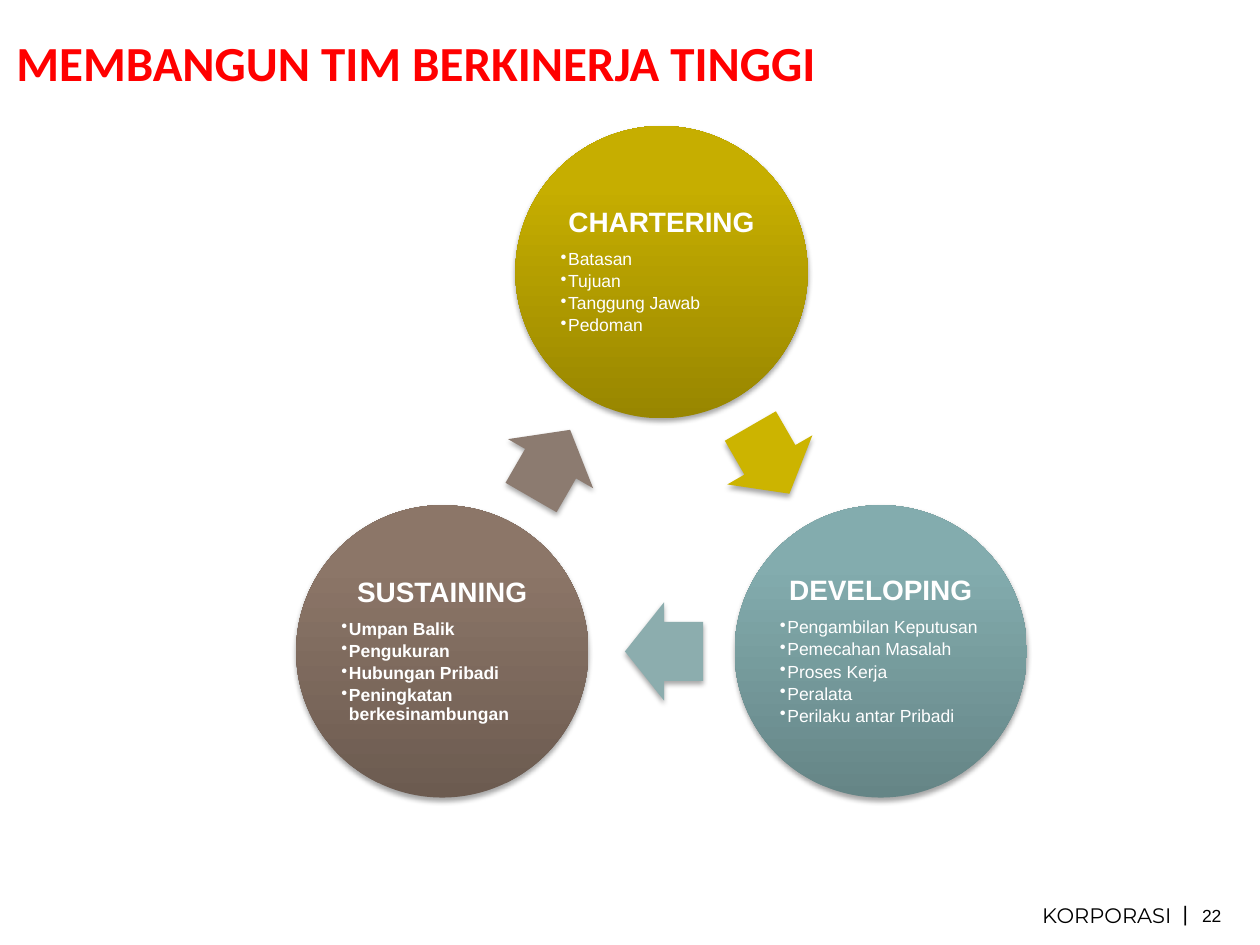
from typing import NamedTuple

from lxml.etree import SubElement
from pptx import Presentation
from pptx.dml.color import RGBColor
from pptx.enum.shapes import MSO_SHAPE as Shape
from pptx.enum.text import MSO_ANCHOR as Anchor, MSO_AUTO_SIZE as AutoSize, PP_ALIGN as Align
from pptx.oxml import parse_xml
from pptx.oxml.ns import nsdecls, qn
from pptx.util import Inches, Pt

COLORS = {
    "white": "FFFFFF", "black": "000000", "title": "FF0000",
    "gold": "CCB400", "teal": "8CADAE", "brown": "8C7B70",
}
GRADIENTS = {  # stops at 0, 80 and 100 percent, from the bottom up
    "gold": ("988600", "C6AE00", "C7AF00"),
    "teal": ("658586", "83ACAE", "82AEAF"),
    "brown": ("6C5B50", "8C7668", "8D7768"),
}
CIRCLE_SIZE, LABEL_SIZE = 2.32, 1.64
ARROW_WIDTH, ARROW_HEIGHT = 0.62, 0.78


class Stage(NamedTuple):
    name: str
    color: str
    center: tuple[float, float]
    items: tuple[str, ...]
    bold_items: bool
    arrow_center: tuple[float, float]
    arrow_rotation: int


STAGES = (
    Stage("CHARTERING", "gold", (5.25, 2.16),
          ("Batasan", "Tujuan", "Tanggung Jawab", "Pedoman"),
          False, (6.11, 3.65), 60),
    Stage("DEVELOPING", "teal", (6.99, 5.17),
          ("Pengambilan Keputusan", "Pemecahan Masalah", "Proses Kerja",
           "Peralata", "Perilaku antar Pribadi"),
          False, (5.27, 5.17), 180),
    Stage("SUSTAINING", "brown", (3.51, 5.17),
          ("Umpan Balik", "Pengukuran", "Hubungan Pribadi",
           "Peningkatan berkesinambungan"),
          True, (4.37, 3.68), 300),
)


def centered_box(center: tuple[float, float], width: float, height: float) -> list:
    x, y = center
    return [Inches(value) for value in (x - width / 2, y - height / 2, width, height)]


def write_text(paragraph, text: str, *, size: float, color: str = "black",
               font: str = "Arial", bold: bool = False, align=Align.LEFT) -> None:
    paragraph.alignment = align
    run = paragraph.add_run()
    run.text = text
    run.font.name = font
    run.font.size = Pt(size)
    run.font.bold = bold
    run.font.color.rgb = RGBColor.from_string(COLORS[color])


def prepare_frame(shape, *, margin: float = 0, anchor=Anchor.TOP, wrap: bool = True):
    frame = shape.text_frame
    frame.auto_size = AutoSize.NONE
    frame.word_wrap = wrap
    frame.vertical_anchor = anchor
    frame.margin_left = frame.margin_right = Inches(margin)
    frame.margin_top = frame.margin_bottom = Inches(margin)
    return frame


def add_bullet(paragraph) -> None:
    properties = paragraph._p.get_or_add_pPr()
    properties.set("marL", str(Inches(0.06)))
    properties.set("indent", str(-Inches(0.06)))
    SubElement(properties, qn("a:buChar")).set("char", "•")


def add_shadow(shape) -> None:
    shape.shadow.inherit = False
    effects = shape._element.spPr.find(qn("a:effectLst"))
    effects.append(parse_xml(
        f'<a:outerShdw {nsdecls("a")} blurRad="{Pt(3.1)}" dist="{Pt(1.8)}" '
        f'dir="5400000" rotWithShape="0"><a:srgbClr val="{COLORS["black"]}">'
        '<a:alpha val="35000"/></a:srgbClr></a:outerShdw>'))


def fill_gradient(shape, colors: tuple[str, ...]) -> None:
    shape.fill.gradient()
    gradient = shape._element.spPr.find(qn("a:gradFill"))
    stops = "".join(
        f'<a:gs pos="{position}"><a:srgbClr val="{color}"/></a:gs>'
        for position, color in zip((0, 80000, 100000), colors))
    gradient.getparent().replace(gradient, parse_xml(
        f'<a:gradFill {nsdecls("a")} rotWithShape="1"><a:gsLst>{stops}</a:gsLst>'
        '<a:lin ang="16200000" scaled="0"/></a:gradFill>'))


def add_circle(slide, stage: Stage) -> None:
    circle = slide.shapes.add_shape(
        Shape.OVAL, *centered_box(stage.center, CIRCLE_SIZE, CIRCLE_SIZE))
    fill_gradient(circle, GRADIENTS[stage.color])
    circle.line.fill.background()
    add_shadow(circle)


def add_label(slide, stage: Stage) -> None:
    label = slide.shapes.add_textbox(*centered_box(stage.center, LABEL_SIZE, LABEL_SIZE))
    frame = prepare_frame(label, margin=0.02, anchor=Anchor.MIDDLE)
    heading = frame.paragraphs[0]
    write_text(heading, stage.name, size=16, color="white", bold=True, align=Align.CENTER)
    heading.line_spacing = 0.9
    heading.space_after = Pt(6.7)
    for item in stage.items:
        paragraph = frame.add_paragraph()
        paragraph.level = 1
        add_bullet(paragraph)
        write_text(paragraph, item, size=10, color="white", bold=stage.bold_items)
        paragraph.line_spacing = 0.9
        paragraph.space_after = Pt(1.8)


def add_arrow(slide, stage: Stage) -> None:
    arrow = slide.shapes.add_shape(
        Shape.RIGHT_ARROW, *centered_box(stage.arrow_center, ARROW_WIDTH, ARROW_HEIGHT))
    arrow.adjustments[0], arrow.adjustments[1] = 0.6, 0.5
    arrow.rotation = stage.arrow_rotation
    arrow.fill.solid()
    arrow.fill.fore_color.rgb = RGBColor.from_string(COLORS[stage.color])
    arrow.line.fill.background()
    add_shadow(arrow)


def add_footer_text(slide, text: str, box: tuple[float, ...], *,
                    wrap: bool = False, anchor=Anchor.TOP, **text_format) -> None:
    shape = slide.shapes.add_textbox(*map(Inches, box))
    frame = prepare_frame(shape, anchor=anchor, wrap=wrap)
    write_text(frame.paragraphs[0], text, **text_format)


def main() -> None:
    presentation = Presentation()
    presentation.slide_width, presentation.slide_height = Inches(10), Inches(7.5)
    slide = presentation.slides.add_slide(presentation.slide_layouts[5])
    slide.background.fill.solid()
    slide.background.fill.fore_color.rgb = RGBColor.from_string(COLORS["white"])

    # Title
    title = slide.shapes.title
    title.left, title.top, title.width, title.height = map(Inches, (0.13, 0.26, 9.62, 0.47))
    write_text(prepare_frame(title).paragraphs[0], "MEMBANGUN TIM BERKINERJA TINGGI",
               size=28, color="title", font="Calibri", bold=True)

    # Cycle of stages
    for stage in STAGES:
        add_circle(slide, stage)
        add_label(slide, stage)
        add_arrow(slide, stage)

    # Footer
    add_footer_text(slide, "KORPORASI", (8.11, 7.16, 1.35, 0.21), wrap=True,
                    size=12, font="Montserrat", align=Align.CENTER)
    add_footer_text(slide, "|", (9.39, 7.14, 0.04, 0.21), anchor=Anchor.MIDDLE,
                    size=12, align=Align.RIGHT)
    add_footer_text(slide, "22", (9.54, 7.18, 0.22, 0.17), size=10)

    presentation.save("out.pptx")


if __name__ == "__main__":
    main()
